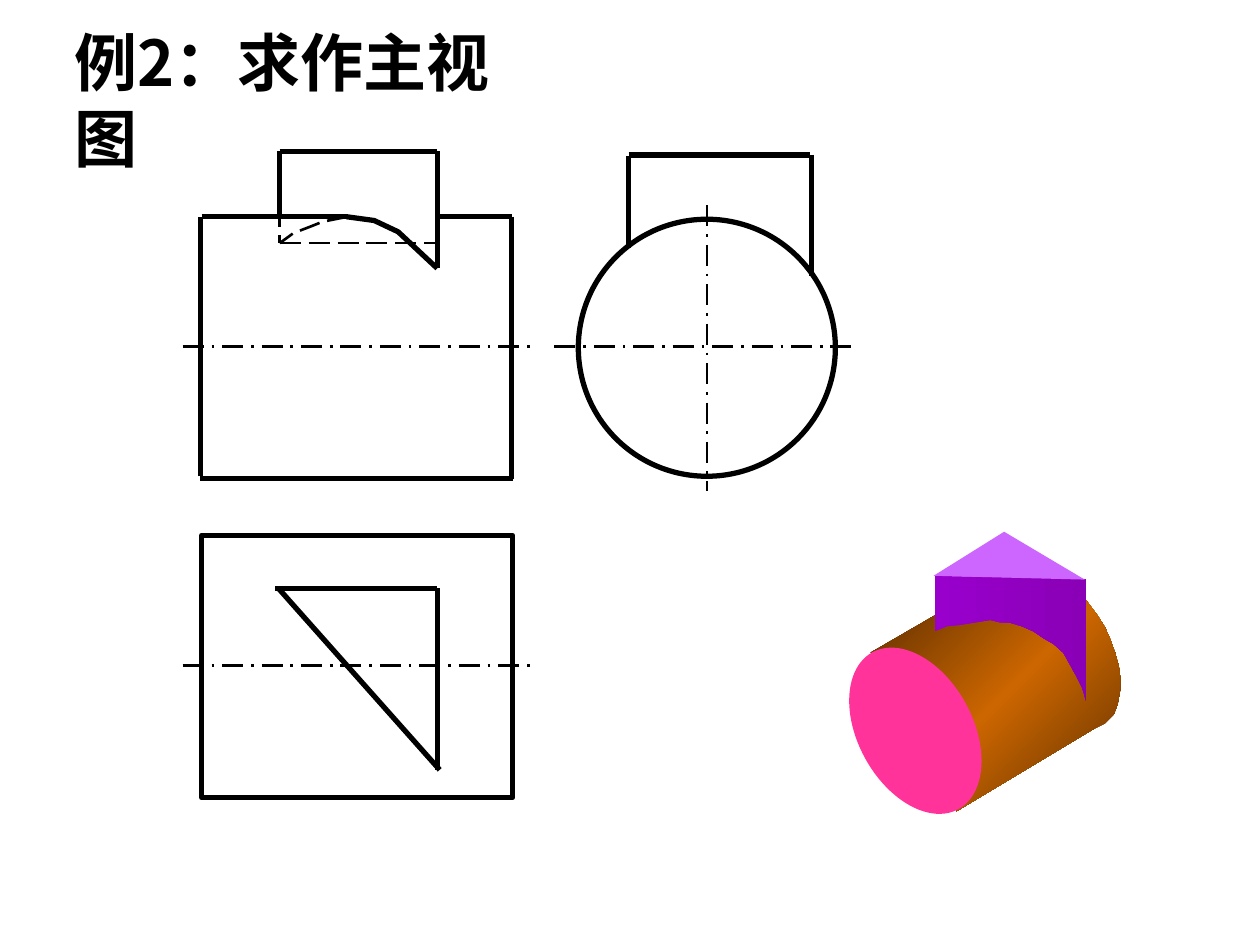
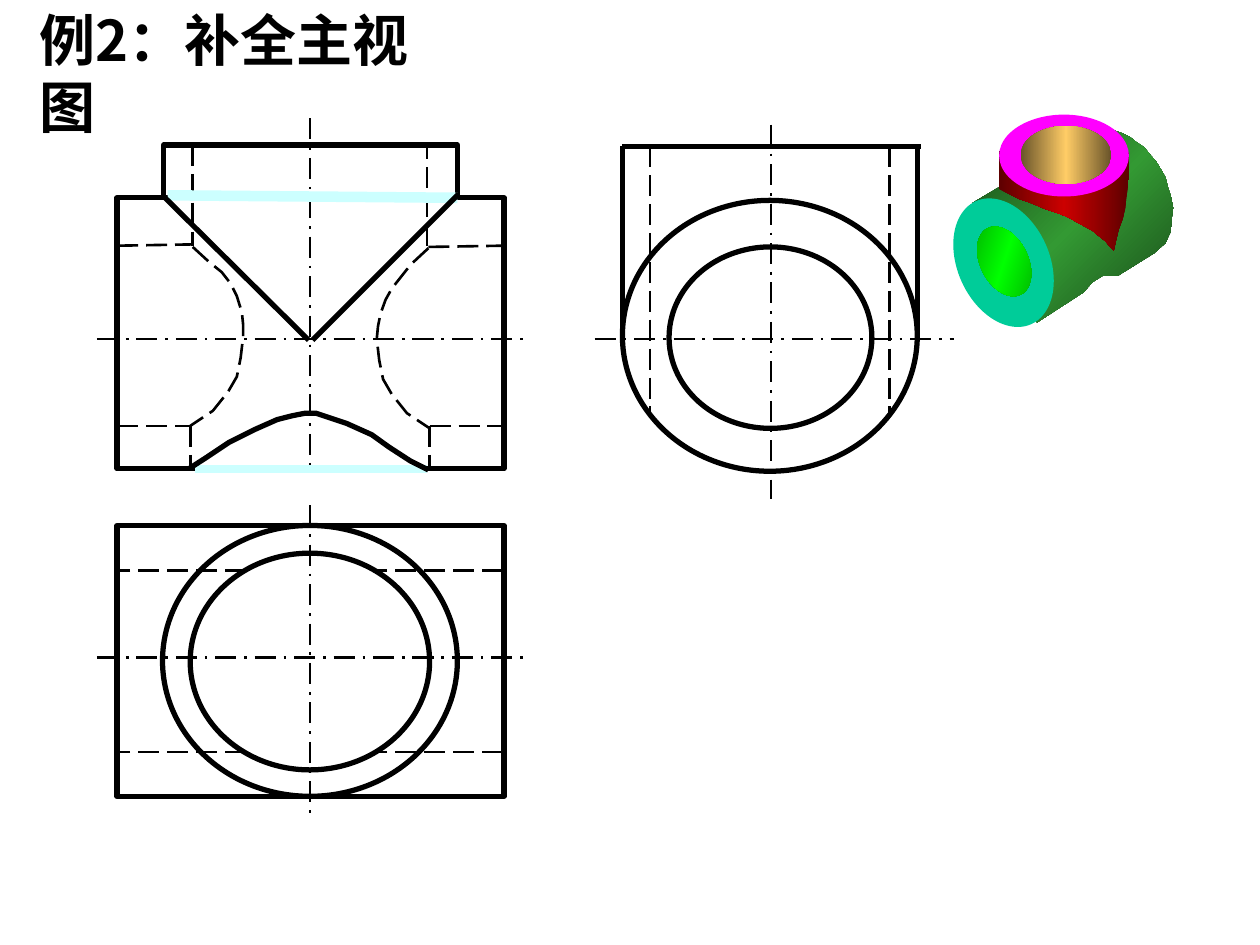
import lxml.etree
import pptx
import pptx.dml.color
import pptx.enum.dml
import pptx.enum.shapes
import pptx.enum.text
import pptx.oxml.ns
import pptx.util

Pt = pptx.util.Pt
qn = pptx.oxml.ns.qn
RGB = pptx.dml.color.RGBColor.from_string
DASH = pptx.enum.dml.MSO_LINE
SHAPE = pptx.enum.shapes.MSO_SHAPE
ANCHOR = pptx.enum.text.MSO_ANCHOR

UNIT = 0.72
FONT = "Noto Sans CJK SC"
COLORS = {
    "ink": "000000", "cover": "CCFFFF",
    "dark orange": "5E2F00", "orange": "CC6600",
    "purple": "9900CC", "dark purple": "8900B6", "lilac": "CC66FF", "pink": "FF3399",
    "dark green": "184718", "green": "339933", "dark red": "5E0000", "red": "CC0000",
    "magenta": "FF00FF", "dark gold": "69542A", "gold": "FFCC66",
    "teal": "00CC99", "dark lime": "00A800", "lime": "00FF00",
}
PENS = {
    "edge": ("ink", 3, None),
    "hidden": ("ink", 1.5, DASH.LONG_DASH),
    "short hidden": ("ink", 1.5, DASH.DASH),
    "axis": ("ink", 1.5, DASH.LONG_DASH_DOT),
    "wide cover": ("cover", 6, None),
    "narrow cover": ("cover", 4.5, None),
}
FILLS = {
    "cylinder": (45, "dark orange", "orange", "dark orange"),
    "prism": (0, "purple", "dark purple"),
    "pipe": (45, "dark green", "green", "dark green"),
    "branch": (0, "dark red", "red", "dark red"),
    "branch bore": (0, "dark gold", "gold", "dark gold"),
    "pipe bore": (45, "dark lime", "lime", "dark lime"),
}


def dress(shape, pen=None, fill=None):
    shape.shadow.inherit = False
    if pen:
        color, width, dash = PENS[pen]
        shape.line.color.rgb = RGB(COLORS[color])
        shape.line.width = Pt(width)
        if dash:
            shape.line.dash_style = dash
    else:
        shape.line.fill.background()
    if fill in FILLS:
        angle, *stops = FILLS[fill]
        shape.fill.gradient()
        gradient = shape._element.spPr.find(qn("a:gradFill"))
        gradient.find(qn("a:lin")).set("ang", str(angle * 60000))
        stop_list = gradient.find(qn("a:gsLst"))
        for stop in list(stop_list):
            stop_list.remove(stop)
        for index, color in enumerate(stops):
            position = 100000 * index // (len(stops) - 1)
            stop = lxml.etree.SubElement(stop_list, qn("a:gs"), pos=str(position))
            lxml.etree.SubElement(stop, qn("a:srgbClr"), val=COLORS[color])
    elif fill:
        shape.fill.solid()
        shape.fill.fore_color.rgb = RGB(COLORS[fill])
    else:
        shape.fill.background()


def trace(page, points, pen=None, fill=None):
    if len(points) == 2:
        ends = [Pt(UNIT * value) for point in points for value in point]
        line = page.shapes.add_connector(pptx.enum.shapes.MSO_CONNECTOR.STRAIGHT, *ends)
        color, width, dash = PENS[pen]
        line.line.color.rgb = RGB(COLORS[color])
        line.line.width = Pt(width)
        if dash:
            line.line.dash_style = dash
        lxml.etree.SubElement(line._element.spPr, qn("a:effectLst"))
    else:
        builder = page.shapes.build_freeform(*points[0], scale=Pt(UNIT))
        builder.add_line_segments(points[1:], close=bool(fill))
        dress(builder.convert_to_shape(), pen, fill)


deck = pptx.Presentation()
deck.slide_width, deck.slide_height = Pt(720), Pt(540)

titles = [
    ("例2：求作主视图", 36, ANCHOR.TOP, (49, 9, 422, 70)),
    ("例2：补全主视图", 32, ANCHOR.MIDDLE, (21, 23, 378, 64)),
]
pages = []
for words, size, anchor, place in titles:
    page = deck.slides.add_slide(deck.slide_layouts[5])
    title = page.shapes.title
    title.left, title.top, title.width, title.height = [Pt(UNIT * value) for value in place]
    frame = title.text_frame
    frame.text = words
    frame.word_wrap = True
    frame.auto_size = pptx.enum.text.MSO_AUTO_SIZE.NONE
    frame.vertical_anchor = anchor
    frame.margin_left, frame.margin_right = Pt(7.2), Pt(32)
    frame.margin_top, frame.margin_bottom = Pt(7), Pt(3.6)
    para = frame.paragraphs[0]
    para.alignment = pptx.enum.text.PP_ALIGN.LEFT
    para.line_spacing = Pt(1.2 * size)
    para.font.size = Pt(size)
    para.font.bold = True
    para.font.color.rgb = RGB(COLORS["ink"])
    para.font.name = FONT
    lxml.etree.SubElement(para._p.pPr.find(qn("a:defRPr")), qn("a:ea"), typeface=FONT)
    pages.append(page)
prism_page, pipe_page = pages

prism_lines = {
    "short hidden": [((222, 172), (222, 193))],
    "hidden": [((222, 193), (347, 193))],
    "axis": [
        ((145, 275), (426, 275)), ((145, 528), (424, 528)),
        ((561, 163), (561, 390)), ((440, 275), (681, 275)),
    ],
    "edge": [
        ((499, 123), (643, 123)), ((644, 123), (644, 219)), ((499, 124), (499, 197)),
        ((347, 467), (347, 611)), ((347, 467), (218, 467)), ((349, 611), (221, 467)),
        ((347, 120), (347, 213)), ((347, 172), (406, 172)), ((406, 172), (406, 380)),
        ((407, 380), (159, 380)), ((159, 378), (159, 172)), ((160, 172), (276, 172)),
        ((222, 120), (222, 172)), ((222, 120), (347, 120)),
    ],
}
pipe_lines = {
    "hidden": [
        ((153, 115), (153, 195)), ((339, 195), (339, 116)),
        ((93, 195), (152, 194)), ((340, 196), (399, 195)),
        ((93, 338), (151, 338)), ((341, 338), (399, 338)),
    ],
    "axis": [
        ((612, 99), (612, 396)), ((77, 522), (419, 522)), ((77, 269), (419, 269)),
        ((246, 94), (246, 372)), ((246, 401), (246, 645)), ((472, 269), (757, 269)),
    ],
    "edge": [((494, 116), (731, 116))],
}
for x in (151, 341):
    pipe_lines["hidden"].append(((x, 338), (x, 374)))
for x in (516, 706):
    pipe_lines["hidden"].append(((x, 116), (x, 331)))
for y in (453, 597):
    pipe_lines["hidden"] += [((399, y), (297, y)), ((195, y), (93, y))]
for x in (494, 728):
    pipe_lines["edge"].append(((x, 266), (x, 116)))

for page, groups in ((prism_page, prism_lines), (pipe_page, pipe_lines)):
    for pen, segments in groups.items():
        for segment in segments:
            trace(page, segment, pen)

view_outlines = [
    (prism_page, SHAPE.OVAL, (459, 174, 204, 204)),
    (prism_page, SHAPE.RECTANGLE, (160, 425, 247, 208)),
    (pipe_page, SHAPE.OVAL, (129, 417, 234, 215)),
    (pipe_page, SHAPE.OVAL, (494, 159, 234, 215)),
    (pipe_page, SHAPE.RECTANGLE, (93, 417, 307, 215)),
    (pipe_page, SHAPE.RECTANGLE, (93, 157, 307, 215)),
    (pipe_page, SHAPE.RECTANGLE, (130, 115, 233, 42)),
    (pipe_page, SHAPE.OVAL, (151, 439, 190, 172)),
    (pipe_page, SHAPE.OVAL, (531, 196, 161, 144)),
]
for page, kind, place in view_outlines:
    dress(page.shapes.add_shape(kind, *[Pt(UNIT * value) for value in place]), "edge")

intersections = [
    (prism_page, "edge", [(275, 172), (297, 175), (316, 184), (347, 213)]),
    (prism_page, "hidden", [
        (276, 172), (266, 174), (256, 176), (246, 180), (233, 185), (222, 193)]),
    (pipe_page, "wide cover", [(133, 155), (363, 157)]),
    (pipe_page, "edge", [(131, 157), (245, 270)]),
    (pipe_page, "edge", [(364, 154), (248, 270)]),
    (pipe_page, "hidden", [
        (153, 196), (166, 208), (176, 216), (183, 225), (188, 235), (192, 248), (193, 258),
        (193, 267), (191, 284), (188, 299), (181, 311), (169, 326), (151, 338)]),
    (pipe_page, "narrow cover", [(155, 372), (339, 372)]),
    (pipe_page, "hidden", [
        (340, 197), (326, 210), (311, 229), (306, 238), (302, 249), (299.5, 259), (299, 269),
        (301, 286), (304, 301), (311, 313), (323, 328), (341, 340)]),
    (pipe_page, "edge", [
        (150, 372), (164, 363), (182, 351), (202, 341), (220, 333), (232, 329.5), (242, 328),
        (251, 328.5), (260, 331), (275, 336), (295, 345), (309, 355), (326, 366), (340, 373)]),
]
for page, pen, points in intersections:
    trace(page, points, pen)

solids = [
    (prism_page, "cylinder", [
        (691, 518), (748, 485), (745, 496), (751, 497), (760, 492), (776, 491), (789, 490),
        (795, 491), (810, 491), (820, 496), (832, 499), (841, 507), (849, 516), (854, 524),
        (857, 531), (859, 538), (860, 546), (860, 474), (867, 483), (872, 490), (877, 498),
        (881, 507), (885, 518), (888, 529), (889, 537), (889, 548), (887, 559), (884, 567),
        (877, 574), (869, 578), (759, 644), (770, 630), (774, 621), (774, 606), (775, 584),
        (768, 570), (763, 558), (754, 548), (747, 539), (742, 532), (733, 527), (725, 523),
        (718, 519), (710, 517), (701, 515)]),
    (prism_page, "prism", [
        (742, 457), (742, 501), (752, 497), (762, 496), (774, 494), (786, 492), (794, 494),
        (801, 494), (811, 497), (820, 501), (829, 507), (836, 511), (844, 518), (849, 527),
        (854, 536), (859, 546), (862, 556), (862, 460)]),
    (prism_page, "lilac", [(797, 422), (741, 457), (861, 460)]),
    (pipe_page, "pipe", [
        (772, 161), (794, 148), (878, 178), (892, 145), (883, 103), (891, 106), (897, 109),
        (902, 113), (908, 117), (912, 122), (918, 129), (921, 134), (925, 141), (927, 149),
        (929, 155), (931, 165), (930, 173), (929, 184), (925, 193), (916, 201), (887, 219),
        (875, 219), (867, 224), (860, 232), (823, 256), (814, 178)]),
    (pipe_page, "branch", [
        (793, 120), (793, 150), (801, 154), (809, 158), (818, 161), (830, 166), (842, 170),
        (849, 173), (856, 177), (867, 183), (873, 188), (878, 192), (881, 196), (884, 199),
        (886, 190), (888, 182), (891, 174), (893, 166), (894, 157), (895, 150), (896, 142),
        (896, 121)]),
]
for page, fill, points in solids:
    trace(page, points, fill=fill)

end_faces = [
    (prism_page, "pink", (681, 509, 91, 142), 331.2),
    (pipe_page, "magenta", (793, 91, 103, 65), 0),
    (pipe_page, "branch bore", (810, 100, 72, 46), 0),
    (pipe_page, "teal", (760, 155, 73, 107), 335.7),
    (pipe_page, "pipe bore", (778, 178, 38, 59), 333.3),
]
for page, fill, place, turn in end_faces:
    face = page.shapes.add_shape(SHAPE.OVAL, *[Pt(UNIT * value) for value in place])
    face.rotation = turn
    dress(face, fill=fill)

deck.save("out.pptx")
